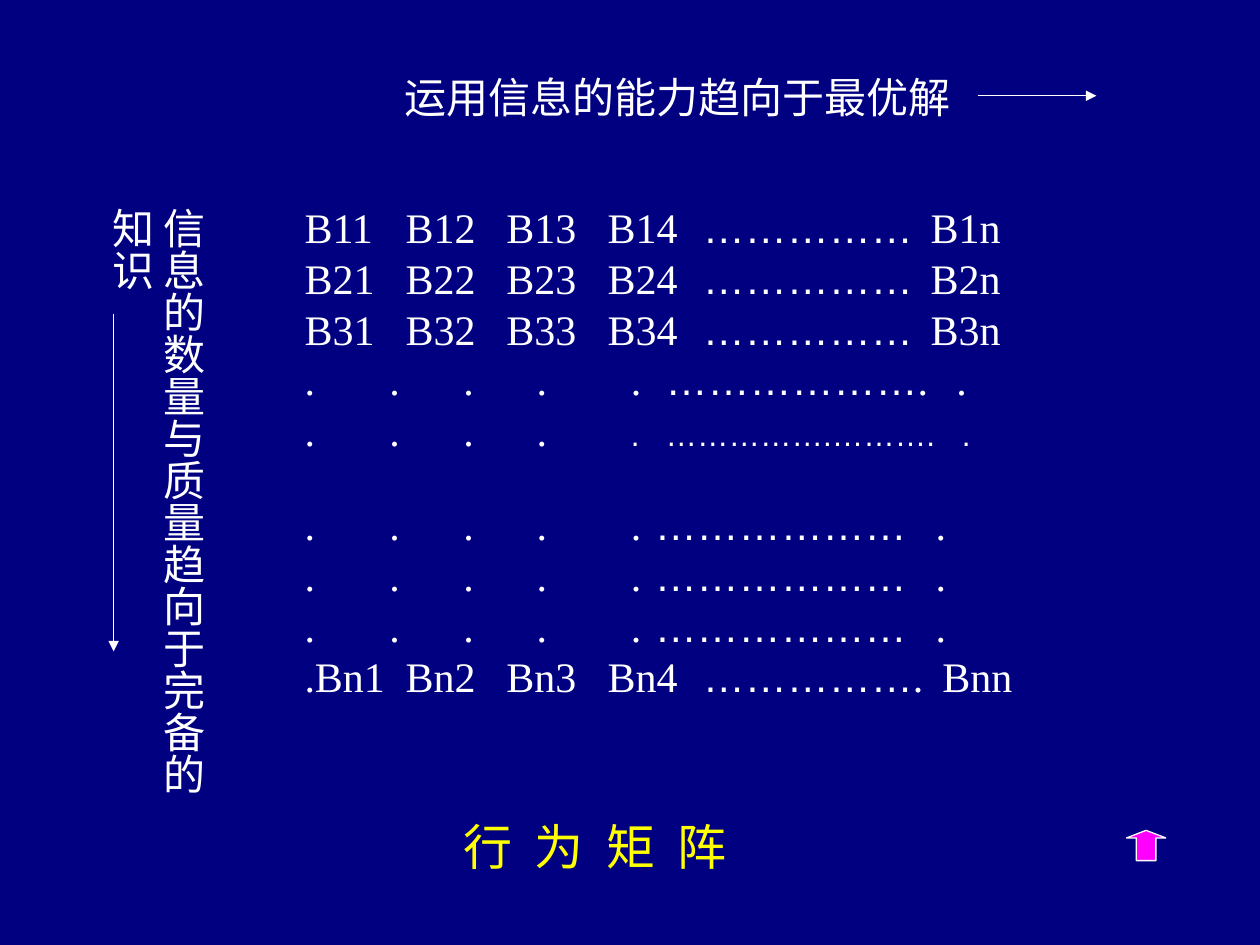
import dataclasses

import lxml.etree
import pptx
import pptx.dml.color
import pptx.enum.shapes
import pptx.enum.text
import pptx.oxml.ns
import pptx.util

Cm = pptx.util.Cm
Pt = pptx.util.Pt
qn = pptx.oxml.ns.qn


@dataclasses.dataclass(frozen=True)
class Theme:
    """Colours, fonts and type sizes in points."""
    background: str = "000080"
    text: str = "FFFFFF"
    title: str = "FFFF00"
    button: str = "FF00FF"
    serif: str = "Times New Roman"
    sans: str = "Arial"
    body_size: float = 24
    small_size: float = 18
    title_size: float = 28
    row_pitch: float = 28.9
    line_width: float = 0.75


@dataclasses.dataclass(frozen=True)
class Box:
    """A region of the slide in centimetres."""
    left: float
    top: float
    width: float
    height: float

    def lengths(self):
        """Return the four sides as lengths."""
        return [Cm(value) for value in dataclasses.astuple(self)]


@dataclasses.dataclass(frozen=True)
class Row:
    """One matrix row: leading cells, ellipsis, what follows it, last cell and tab stops."""
    cells: tuple
    dots: str
    suffix: str
    last: str
    stops: tuple
    tail_size: float = 24
    tail_font: str = "Times New Roman"


THEME = Theme()
DOT_STOPS = (1.71, 3.2, 4.68, 6.58)
ENTRY_STOPS = (2.04, 4.07, 6.11, 8.03)


def rgb(value):
    """Turn a hex string into a colour."""
    return pptx.dml.color.RGBColor.from_string(value)


def add_text(paragraph, text, *, font=THEME.serif, size=THEME.body_size, color=THEME.text):
    """Add a formatted run to a paragraph."""
    run = paragraph.add_run()
    run.text = text
    run.font.name = font
    run.font.size = Pt(size)
    run.font.color.rgb = rgb(color)


def add_frame(slide, box):
    """Add a wrapping text box and return its frame."""
    frame = slide.shapes.add_textbox(*box.lengths()).text_frame
    frame.word_wrap = True
    return frame


def set_tabs(paragraph, stops):
    """Give a paragraph left tab stops in centimetres."""
    tab_list = lxml.etree.SubElement(paragraph._p.get_or_add_pPr(), qn("a:tabLst"))
    for stop in stops:
        lxml.etree.SubElement(tab_list, qn("a:tab"), pos=str(int(Cm(stop))), algn="l")


def add_arrow(slide, start, end):
    """Draw a thin line with an arrowhead at its end."""
    connector = slide.shapes.add_connector(
        pptx.enum.shapes.MSO_CONNECTOR.STRAIGHT, *[Cm(value) for value in (*start, *end)])
    connector.line.color.rgb = rgb(THEME.text)
    connector.line.width = Pt(THEME.line_width)
    lxml.etree.SubElement(connector.line._get_or_add_ln(), qn("a:tailEnd"), type="triangle")
    lxml.etree.SubElement(connector._element.spPr, qn("a:effectLst"))


def add_column_axis(slide, box):
    """Place the heading above the matrix and the arrow to its right."""
    paragraph = add_frame(slide, Box(box.left, box.top, 13.21, box.height)).paragraphs[0]
    paragraph._p.get_or_add_pPr().set("marL", str(int(Cm(0.42))))
    add_text(paragraph, "运用信息的能力趋向于最优解")
    right, middle = box.left + box.width, box.top + 0.61
    add_arrow(slide, (right - 2.39, middle), (right, middle))


def add_row_axis(slide, box):
    """Place the vertical heading beside the matrix and the arrow below its end."""
    frame = add_frame(slide, box)
    frame._txBody.bodyPr.set("vert", "eaVert")
    add_text(frame.paragraphs[0], "信息的数量与质量趋向于完备的知识")
    x = box.left + 0.18
    add_arrow(slide, (x, box.top + 2.38), (x, box.top + 9.19))


def add_matrix_part(slide, box, rows):
    """Place matrix rows as tabbed lines at a fixed pitch."""
    frame = add_frame(slide, box)
    for index, row in enumerate(rows):
        paragraph = frame.add_paragraph() if index else frame.paragraphs[0]
        set_tabs(paragraph, row.stops)
        paragraph.line_spacing = Pt(THEME.row_pitch)
        tail = {"size": row.tail_size, "font": row.tail_font}
        add_text(paragraph, "\t".join(row.cells[:4]) + "\t")
        if row.cells[4:]:
            add_text(paragraph, row.cells[4] + "\t", **tail)
        add_text(paragraph, row.dots, font=THEME.sans, size=row.tail_size)
        add_text(paragraph, f"{row.suffix}\t{row.last}", **tail)


def add_matrix(slide, box):
    """Place the upper and lower parts of the behaviour matrix."""
    upper = [
        Row(tuple(f"B{i}{j}" for j in range(1, 5)), "…" * 5, "", f"B{i}n",
            ENTRY_STOPS + (12.62,))
        for i in range(1, 4)
    ]
    upper.append(Row((".",) * 5, "…" * 6, ".", ".", DOT_STOPS + (7.28, 13.14)))
    upper.append(Row((".",) * 5, "…………….……….", "", ".", DOT_STOPS + (7.28, 13.25),
                     THEME.small_size, THEME.sans))
    lower = [Row((".",) * 5, "…" * 6, "", ".", DOT_STOPS + (7.06, 12.72))] * 3
    lower.append(Row((".Bn1", "Bn2", "Bn3", "Bn4"), "…" * 5, ".", "Bnn",
                     ENTRY_STOPS + (12.86,)))
    add_matrix_part(slide, Box(box.left, box.top, box.width, 6.35), upper)
    add_matrix_part(slide, Box(box.left, box.top + 5.99, box.width, box.height - 5.99), lower)


def add_title(slide, box):
    """Place the spaced-out title."""
    paragraph = add_frame(slide, box).paragraphs[0]
    set_tabs(paragraph, [1.44 * step for step in range(1, 4)])
    add_text(paragraph, "\t".join("行为矩阵"), font=THEME.sans,
             size=THEME.title_size, color=THEME.title)


def add_return_button(slide, box):
    """Place the upward arrow button."""
    shape = slide.shapes.add_shape(pptx.enum.shapes.MSO_SHAPE.UP_ARROW, *box.lengths())
    shape.adjustments[0] = 0.5
    shape.adjustments[1] = 0.25
    shape.shadow.inherit = False
    shape.fill.solid()
    shape.fill.fore_color.rgb = rgb(THEME.button)
    shape.line.color.rgb = rgb(THEME.text)
    shape.line.width = Pt(THEME.line_width)


def main():
    """Build the slide and save it."""
    presentation = pptx.Presentation()
    presentation.slide_width, presentation.slide_height = Cm(25.4), Cm(19.05)
    slide = presentation.slides.add_slide(presentation.slide_layouts[6])
    slide.background.fill.solid()
    slide.background.fill.fore_color.rgb = rgb(THEME.background)
    add_row_axis(slide, Box(2.11, 3.94, 2.21, 12.8))
    add_column_axis(slide, Box(7.49, 1.32, 14.61, 2.29))
    add_matrix(slide, Box(5.89, 3.94, 16.21, 11.32))
    add_title(slide, Box(9.09, 16.33, 6.1, 1.45))
    add_return_button(slide, Box(22.71, 16.74, 0.79, 0.61))
    presentation.save("out.pptx")


if __name__ == "__main__":
    main()
